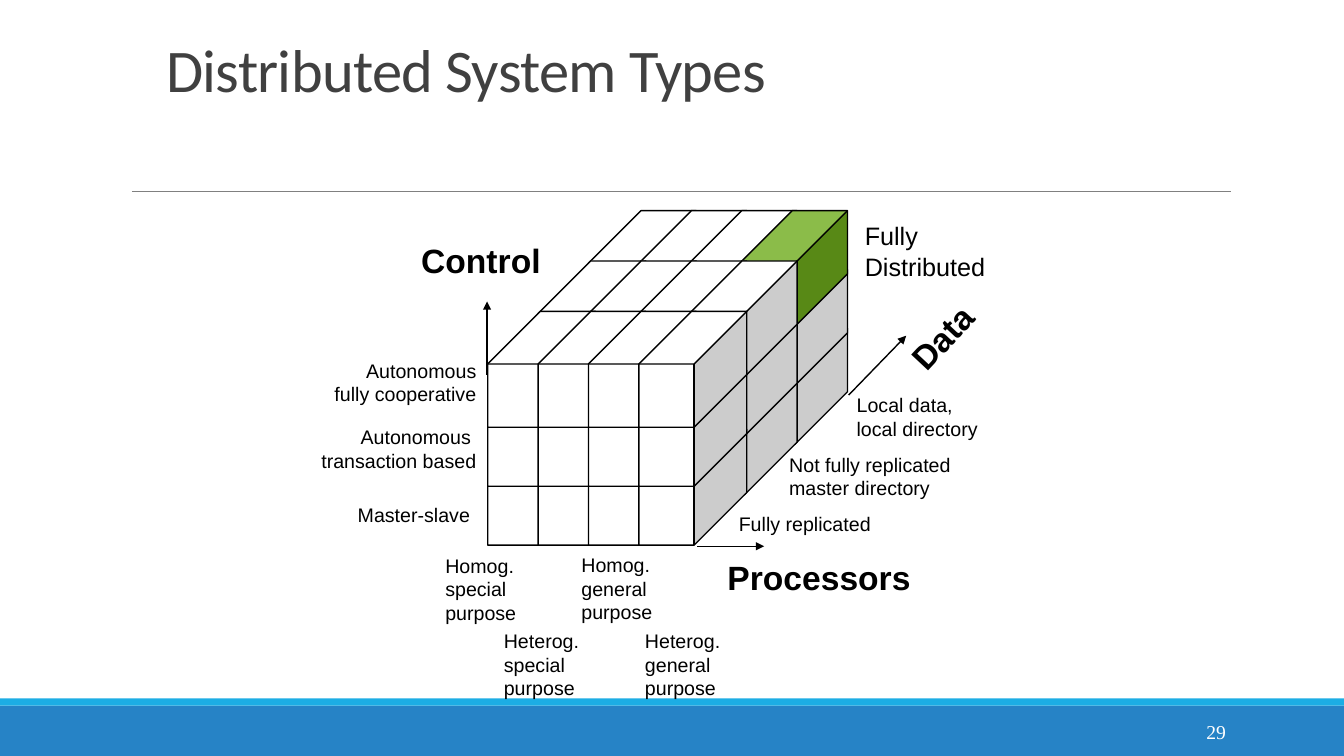
from dataclasses import dataclass

from lxml.etree import SubElement
from pptx import Presentation
from pptx.dml.color import RGBColor as RGB
from pptx.enum.shapes import MSO_CONNECTOR as Connector, MSO_SHAPE as Shape
from pptx.enum.text import MSO_ANCHOR as Anchor, PP_ALIGN as Align
from pptx.oxml.ns import qn
from pptx.util import Pt


@dataclass(frozen=True)
class Theme:
    black: RGB = RGB(0x00, 0x00, 0x00)
    white: RGB = RGB(0xFF, 0xFF, 0xFF)
    green: RGB = RGB(0x6E, 0xAC, 0x1C)
    title: RGB = RGB(0x40, 0x40, 0x40)
    rule: RGB = RGB(0x80, 0x80, 0x80)
    footer: RGB = RGB(0x26, 0x83, 0xC6)
    stripe: RGB = RGB(0x1C, 0xAD, 0xE4)
    title_font: str = "Calibri"
    label_font: str = "Arial"
    number_font: str = "Times New Roman"
    title_size: float = 43.2
    axis_size: int = 24
    callout_size: int = 18
    label_size: int = 14


THEME = Theme()

# Content: text lines with the left, top, width and height of their box
TITLE = "Distributed System Types"
PAGE_NUMBER = "29"
CALLOUT = (["Fully", "Distributed"], (610.6, 154.1, 101.5, 50.4))
AXES = [  # name, box, rotation, arrow start, arrow end
    ("Control", (293.8, 167.8, 100.8, 36), 0, (347.9, 267.8), (347.9, 215.3)),
    ("Processors", (512.6, 394.6, 146.2, 36), 0, (498.2, 390.2), (545.8, 390.2)),
    ("Data", (639.4, 222.5, 67, 36), 313, (606.2, 282.2), (647.3, 239.8)),
]
CONTROL_LABELS = [
    (["Autonomous", "fully cooperative"], (162, 252.7, 185.4, 41)),
    (["Autonomous ", "transaction based"], (162, 300.2, 185.4, 41)),
]
LEFT_LABELS = [
    (["Master-slave"], (248.4, 355.7, 95, 23.8)),
    (["Fully replicated"], (520.6, 362.2, 109.4, 23.8)),
    (["Not fully replicated", "master directory"], (556.6, 319.7, 130.3, 41)),
    (["Local data,", "local directory"], (604.8, 277.2, 102.2, 41)),
    (["Homog.", "special", "purpose"], (311, 392, 67.7, 58.3)),
    (["Heterog.", "special", "purpose"], (352.8, 445.7, 68.4, 58.3)),
    (["Homog.", "general", "purpose"], (408.2, 391.7, 65.5, 58.3)),
    (["Heterog.", "general", "purpose"], (453.6, 445.7, 68.4, 58.3)),
]

# Block of cubes, placed from its back top left cube
LAYERS, ROWS, COLUMNS = 3, 3, 4
BLOCK_LEFT, BLOCK_TOP = 420.4, 150.4
CUBE_WIDTH, CUBE_HEIGHT, CUBE_DEPTH = 77, 82.8, 0.488
STEP, ROW_STEP = 36, 42.1


def points(*lengths):
    return [Pt(length) for length in lengths]


def add_filled(slide, kind, box, color):
    shape = slide.shapes.add_shape(kind, *points(*box))
    shape.shadow.inherit = False
    shape.fill.solid()
    shape.fill.fore_color.rgb = color
    shape.line.fill.background()
    return shape


def add_line(slide, start, end, color, width, arrow=False):
    line = slide.shapes.add_connector(Connector.STRAIGHT, *points(*start, *end))
    line.line.color.rgb = color
    line.line.width = Pt(width)
    if arrow:
        SubElement(line.line._get_or_add_ln(), qn("a:tailEnd"), type="triangle")
    SubElement(line._element.spPr, qn("a:effectLst"))


def add_text(slide, lines, box, size=THEME.label_size, color=THEME.black,
             font=THEME.label_font, bold=False, align=Align.LEFT, wrap=False):
    text_box = slide.shapes.add_textbox(*points(*box))
    frame = text_box.text_frame
    frame.word_wrap = wrap
    frame.text = "\n".join(lines)
    for paragraph in frame.paragraphs:
        paragraph.alignment = align
        paragraph.font.name = font
        paragraph.font.size = Pt(size)
        paragraph.font.bold = bold
        paragraph.font.color.rgb = color
    return text_box


def add_title(slide):
    title = slide.shapes.title
    title.left, title.top, title.width, title.height = points(102.2, 30.2, 761.8, 48.2)
    frame = title.text_frame
    frame.text = TITLE
    frame.vertical_anchor = Anchor.BOTTOM
    frame.margin_left = Pt(16.5)
    paragraph = frame.paragraphs[0]
    paragraph.alignment = Align.LEFT
    paragraph.line_spacing = 0.85
    paragraph.font.name = THEME.title_font
    paragraph.font.size = Pt(THEME.title_size)
    paragraph.font.color.rgb = THEME.title
    paragraph.runs[0]._r.get_or_add_rPr().set("spc", "-50")


def add_cubes(slide):
    # Back to front, bottom to top, left to right, so nearer cubes cover others
    for layer in range(LAYERS):
        for row in reversed(range(ROWS)):
            for column in range(COLUMNS):
                left = BLOCK_LEFT + (column - layer) * STEP
                top = BLOCK_TOP + layer * STEP + row * ROW_STEP
                distributed = (layer, row, column) == (0, 0, COLUMNS - 1)
                cube = add_filled(slide, Shape.CUBE, (left, top, CUBE_WIDTH, CUBE_HEIGHT),
                                  THEME.green if distributed else THEME.white)
                cube.adjustments[0] = CUBE_DEPTH
                cube.line.color.rgb = THEME.black
                cube.line.width = Pt(1)


def main():
    presentation = Presentation()
    presentation.slide_width, presentation.slide_height = points(960, 540)
    slide = presentation.slides.add_slide(presentation.slide_layouts[5])

    # Footer bands, title and rule
    add_filled(slide, Shape.RECTANGLE, (0, 504, 960, 36), THEME.footer)
    add_filled(slide, Shape.RECTANGLE, (0, 498.8, 960, 5.2), THEME.stripe)
    add_line(slide, (94.3, 136.6), (879, 136.6), THEME.rule, 0.5)
    add_title(slide)

    # Cube block and its three axes
    add_cubes(slide)
    for name, box, rotation, start, end in AXES:
        add_line(slide, start, end, THEME.black, 1, arrow=True)
        add_text(slide, [name], box, THEME.axis_size, bold=True).rotation = rotation

    # Labels
    add_text(slide, *CALLOUT, THEME.callout_size)
    for lines, box in CONTROL_LABELS:
        add_text(slide, lines, box, align=Align.RIGHT, wrap=True)
    for lines, box in LEFT_LABELS:
        add_text(slide, lines, box)

    # Page number
    number = add_text(slide, [PAGE_NUMBER], (779.8, 508.3, 103, 28.8), color=THEME.white,
                      font=THEME.number_font, align=Align.RIGHT, wrap=True)
    number.text_frame.vertical_anchor = Anchor.MIDDLE

    presentation.save("out.pptx")


if __name__ == "__main__":
    main()
